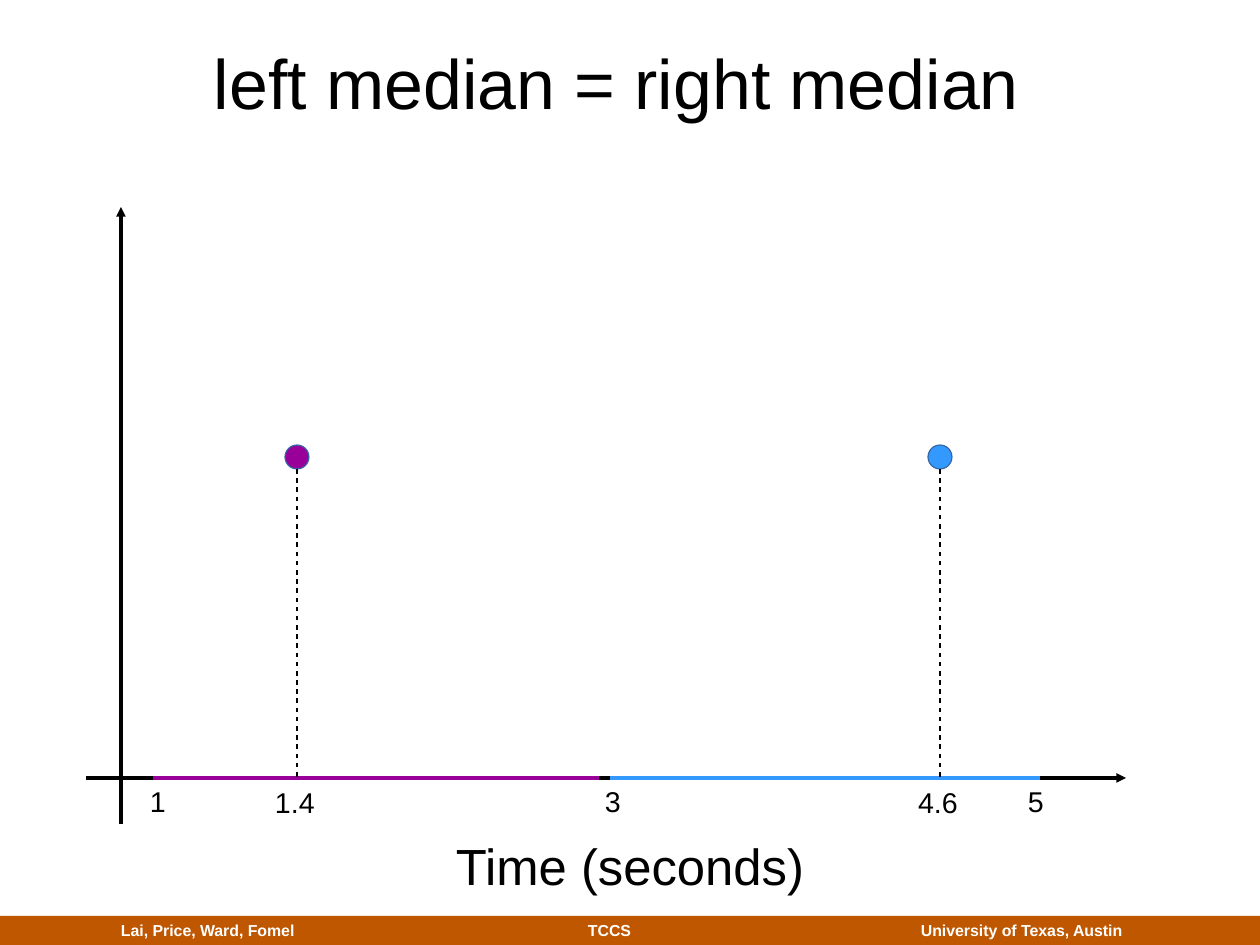
from pptx import Presentation
from pptx.dml.color import RGBColor
from pptx.enum.shapes import MSO_CONNECTOR, MSO_SHAPE
from pptx.enum.text import MSO_ANCHOR as ANCHOR, MSO_AUTO_SIZE as AUTO, PP_ALIGN as ALIGN
from pptx.oxml.ns import qn
from pptx.util import Pt
from lxml.etree import SubElement

PX = 8000
WIDTH, HEIGHT = 1260, 945
BLACK = RGBColor(0x00, 0x00, 0x00)
WHITE = RGBColor(0xFF, 0xFF, 0xFF)
ORANGE = RGBColor(0xBF, 0x57, 0x00)
PURPLE = RGBColor(0x99, 0x00, 0x99)
BLUE = RGBColor(0x33, 0x99, 0xFF)
OUTLINE = RGBColor(0x34, 0x65, 0xA4)


def px(*lengths):
    return [n * PX for n in lengths]


def write(sp, text, size=18, color=BLACK, bold=False, align=ALIGN.LEFT, anchor=ANCHOR.TOP):
    tf = sp.text_frame
    tf.word_wrap = True
    tf.auto_size = AUTO.NONE
    tf.vertical_anchor = anchor
    tf.margin_left = tf.margin_right = 11 * PX
    tf.margin_top = tf.margin_bottom = 6 * PX
    p = tf.paragraphs[0]
    p.alignment = align
    r = p.add_run()
    r.text = text
    r.font.name = "Arial"
    r.font.size = Pt(size)
    r.font.bold = bold
    r.font.color.rgb = color


def add_text(s, box, text, **fmt):
    write(s.shapes.add_textbox(*px(*box)), text, **fmt)


def add_line(s, start, end, color=BLACK, width=0, dashed=False, arrow=False):
    cxn = s.shapes.add_connector(MSO_CONNECTOR.STRAIGHT, *px(*start, *end))
    cxn.line.color.rgb = color
    cxn.line.width = Pt(width)
    ln = cxn.line._ln
    if dashed:
        dash = SubElement(ln, qn("a:custDash"))
        SubElement(dash, qn("a:ds"), d="200000", sp="200000")
    if arrow:
        SubElement(ln, qn("a:tailEnd"), type="triangle")
    SubElement(cxn._element.spPr, qn("a:effectLst"))


def add_solid(s, kind, box, fill, outline=None):
    sp = s.shapes.add_shape(kind, *px(*box))
    sp.shadow.inherit = False
    sp.fill.solid()
    sp.fill.fore_color.rgb = fill
    if outline is None:
        sp.line.fill.background()
    else:
        sp.line.color.rgb = outline
        sp.line.width = Pt(0)


def add_title(s, box, text):
    title = s.shapes.title
    title.left, title.top, title.width, title.height = px(*box)
    write(title, text, size=44, align=ALIGN.CENTER)


def add_footer(s, box):
    x, y, w, h = box
    add_solid(s, MSO_SHAPE.RECTANGLE, box, ORANGE)
    for left, width, text in ((110, 240, "Lai, Price, Ward, Fomel"),
                              (577, 120, "TCCS"),
                              (910, 260, "University of Texas, Austin")):
        add_text(s, (x + left, y, width, h), text, size=10, color=WHITE,
                 bold=True, anchor=ANCHOR.MIDDLE)


def add_median(s, x, base, color, label):
    radius, center = 12, base - 321
    add_solid(s, MSO_SHAPE.OVAL, (x - radius, center - radius, 2 * radius, 2 * radius),
              color, OUTLINE)
    add_line(s, (x, center + radius), (x, base), width=1.45, dashed=True)
    add_text(s, (x - 33, base + 1, 69, 43), label)


def add_plot(s, box):
    x, y, w, h = box
    base = y + h - 46
    add_line(s, (x + 35, y + h), (x + 35, y), arrow=True)
    add_line(s, (x, base), (x + w, base), arrow=True)
    for left, label in ((53, "1"), (508, "3"), (931, "5")):
        add_text(s, (x + left, base, 69, 43), label)
    add_text(s, (x + 359, base + 51, 416, 80), "Time (seconds)", size=32)
    for start, end, median, color, label in ((67, 513, 211, PURPLE, "1.4"),
                                             (524, 954, 854, BLUE, "4.6")):
        add_line(s, (x + start, base), (x + end, base), color=color, width=3)
        add_median(s, x + median, base, color, label)


def main():
    prs = Presentation()
    prs.slide_width, prs.slide_height = px(WIDTH, HEIGHT)
    s = prs.slides.add_slide(prs.slide_layouts[5])
    add_title(s, (34, 34, 1166, 92), "left median = right median")
    add_plot(s, (86, 207, 1040, 617))
    add_footer(s, (0, 916, WIDTH, 29))
    prs.save("out.pptx")


if __name__ == "__main__":
    main()
